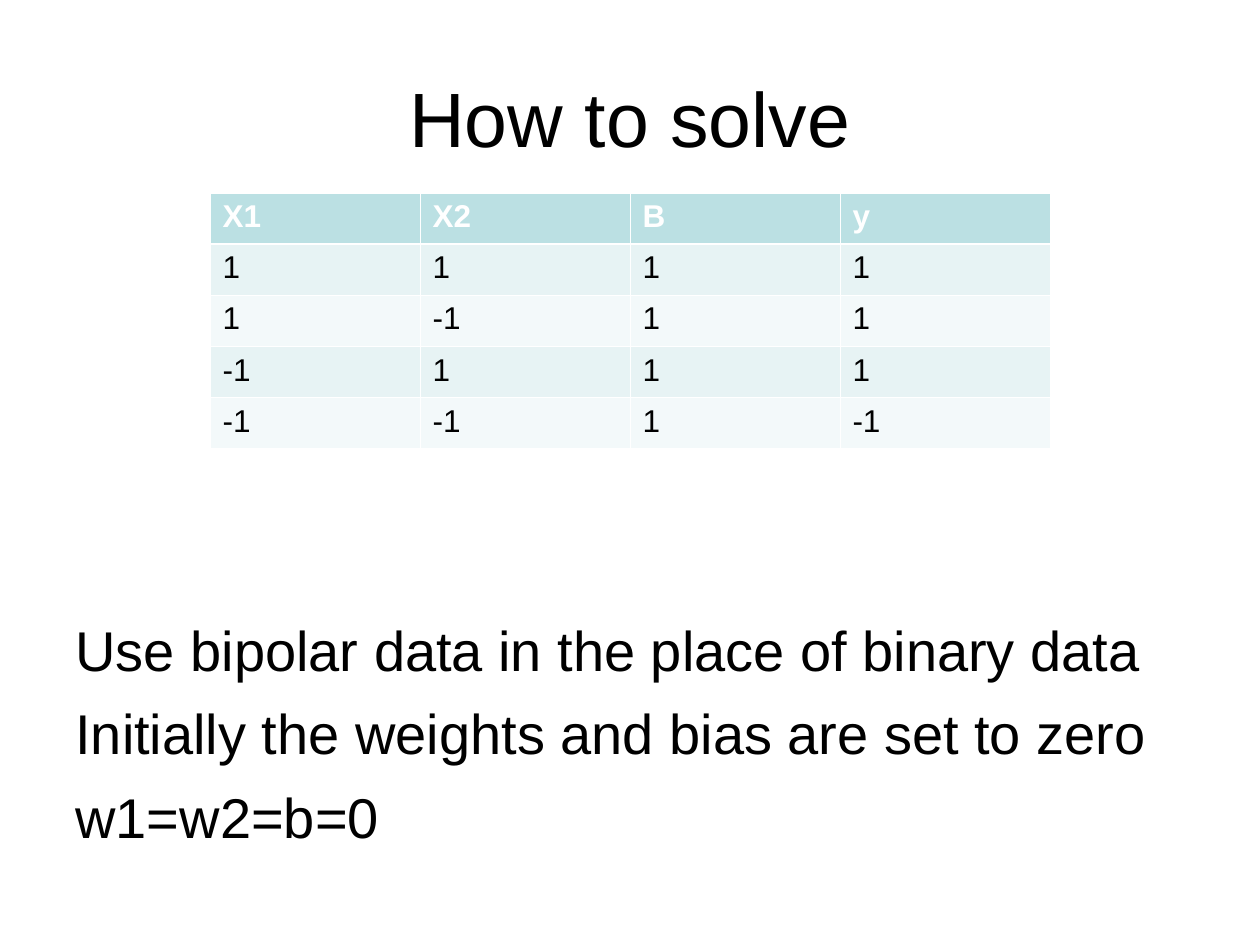
"""Build the "How to solve" slide with its bipolar truth table and starting weights."""
from lxml import etree
from pptx import Presentation
from pptx import util as u
from pptx.dml.color import RGBColor
from pptx.enum import text as t
from pptx.oxml import ns

TITLE = "How to solve"
TRUTH_TABLE = [
    ("X1", "X2", "B", "y"),
    ("1", "1", "1", "1"),
    ("1", "-1", "1", "1"),
    ("-1", "1", "1", "1"),
    ("-1", "-1", "1", "-1"),
]
STEPS = [
    "Use bipolar data in the place of binary data",
    "Initially the weights and bias are set to zero",
    "w1=w2=b=0",
]
HEADER_FILL, BAND_FILLS = "BBE0E3", ("F3F9FA", "E7F3F4")
BLACK, WHITE = "000000", "FFFFFF"
COLUMN_WIDTH, ROW_HEIGHT = 120, 29.2
THIN, THICK = 0.45, 1.47


def color(value):
    return RGBColor.from_string(value)


def write(frame, lines, size, ink=BLACK, bold=False, align=t.PP_ALIGN.LEFT, gap=0):
    frame.word_wrap = True
    for i, line in enumerate(lines):
        paragraph = frame.paragraphs[0] if i == 0 else frame.add_paragraph()
        paragraph.alignment = align
        paragraph.space_before = u.Pt(gap if i else 0)
        run = paragraph.add_run()
        run.text = line
        run.font.name, run.font.size, run.font.bold = "Arial", u.Pt(size), bold
        run.font.color.rgb = color(ink)


def set_borders(cell, widths):
    properties = cell._tc.get_or_add_tcPr()
    for i, (side, width) in enumerate(widths.items()):
        border = etree.Element(ns.qn(f"a:ln{side}"), w=str(u.Pt(width)))
        fill = etree.SubElement(border, ns.qn("a:solidFill"))
        etree.SubElement(fill, ns.qn("a:srgbClr"), val=WHITE)
        properties.insert(i, border)


def add_truth_table(slide):
    rows, columns = len(TRUTH_TABLE), len(TRUTH_TABLE[0])
    table = slide.shapes.add_table(
        rows, columns, u.Pt(120), u.Pt(110.2),
        u.Pt(columns * COLUMN_WIDTH), u.Pt(rows * ROW_HEIGHT)).table
    for column in table.columns:
        column.width = u.Pt(COLUMN_WIDTH)
    for r, values in enumerate(TRUTH_TABLE):
        table.rows[r].height = u.Pt(ROW_HEIGHT)
        header = r == 0
        for c, value in enumerate(values):
            cell = table.cell(r, c)
            cell.fill.solid()
            cell.fill.fore_color.rgb = color(HEADER_FILL if header else BAND_FILLS[r % 2])
            set_borders(cell, {"L": THIN, "R": THIN, "T": THICK if r == 1 else THIN,
                               "B": THICK if header else THIN})
            write(cell.text_frame, [value], 18, ink=WHITE if header else BLACK, bold=header)


def main():
    deck = Presentation()
    deck.slide_width, deck.slide_height = u.Pt(720), u.Pt(540)
    slide = deck.slides.add_slide(deck.slide_layouts[5])

    title = slide.shapes.title
    title.left, title.top, title.width, title.height = map(u.Pt, (36, 21.6, 648, 90))
    title.text_frame.vertical_anchor = t.MSO_ANCHOR.MIDDLE
    write(title.text_frame, [TITLE], 44, align=t.PP_ALIGN.CENTER)

    steps = slide.shapes.add_textbox(*map(u.Pt, (36, 298, 648, 184.4))).text_frame
    steps.margin_top = u.Pt(53.5)
    write(steps, STEPS, 32, gap=9.5)

    add_truth_table(slide)
    deck.save("out.pptx")


if __name__ == "__main__":
    main()
